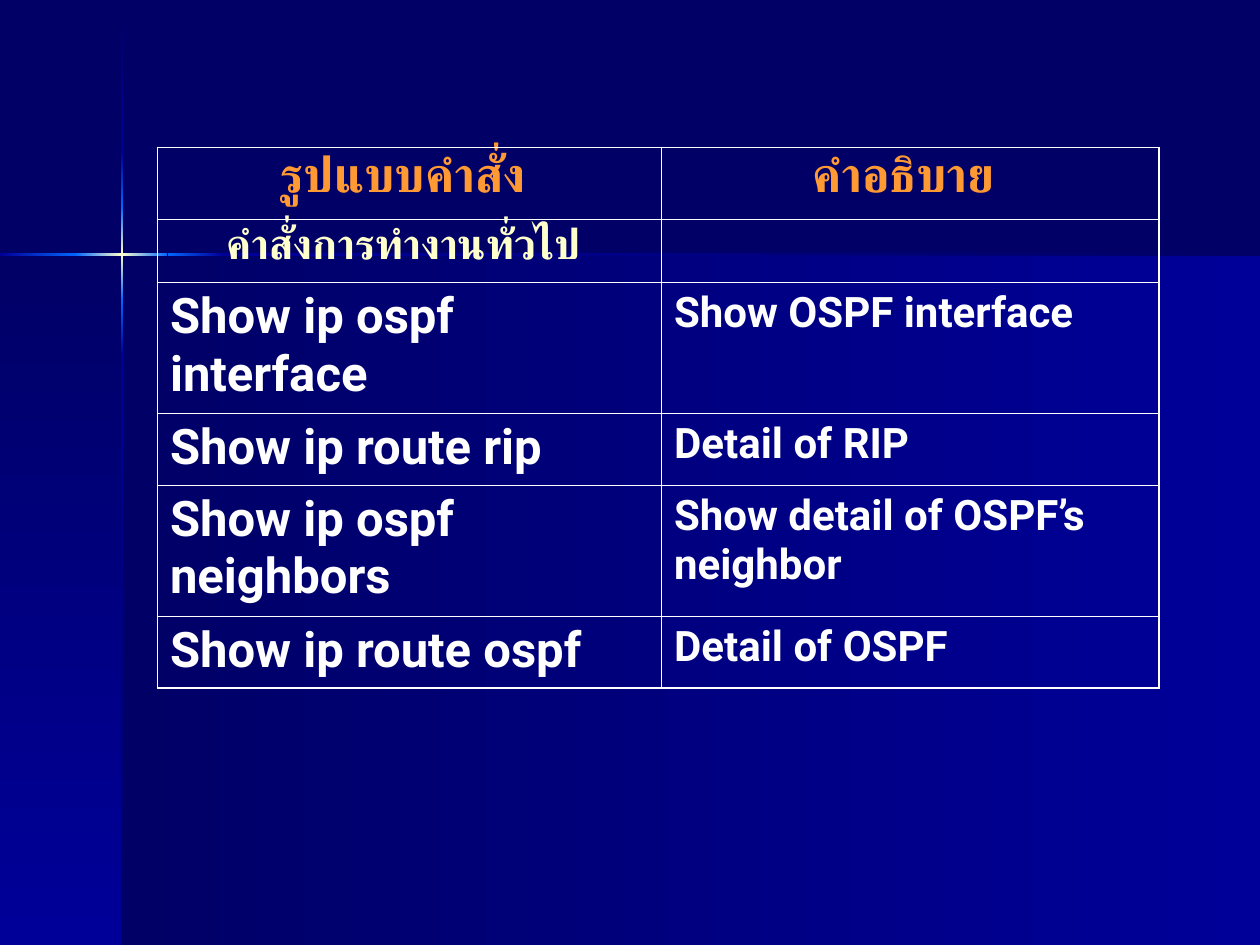
from copy import deepcopy
from lxml.etree import SubElement as Sub
from pptx import Presentation
from pptx.dml.color import RGBColor as RGB
from pptx.enum.shapes import MSO_SHAPE as Shape
from pptx.enum.text import PP_ALIGN as Align
from pptx.oxml.ns import qn
from pptx.util import Inches, Pt

NAVY = RGB(0x00, 0x00, 0x66)
BLUE = RGB(0x00, 0x00, 0x99)
GLOW = RGB(0x00, 0x66, 0xFF)
CREAM = RGB(0xFF, 0xFF, 0xCC)
ORANGE = RGB(0xFF, 0x99, 0x33)
WHITE = RGB(0xFF, 0xFF, 0xFF)
LEFT, DOWN = 180, 270


def add_band(slide, box, angle, colors):
    band = slide.shapes.add_shape(Shape.RECTANGLE, *[Inches(v) for v in box])
    band.shadow.inherit = False
    band.line.fill.background()
    band.fill.gradient()
    band.fill.gradient_angle = angle
    stops = band._element.spPr.find(".//" + qn("a:gsLst"))
    for _ in colors[2:]:
        stops.append(deepcopy(stops[0]))
    for i, (stop, color) in enumerate(zip(band.fill.gradient_stops, colors)):
        stop.position = i / (len(colors) - 1)
        stop.color.rgb = color


def add_edge(cell, side, width):
    edge = Sub(cell._tc.get_or_add_tcPr(), qn("a:" + side), w=str(Pt(width)))
    fill = Sub(edge, qn("a:solidFill"))
    Sub(fill, qn("a:srgbClr"), val=str(WHITE))


deck = Presentation()
deck.slide_width, deck.slide_height = Inches(10), Inches(7.5)
slide = deck.slides.add_slide(deck.slide_layouts[6])
slide.background.fill.solid()
slide.background.fill.fore_color.rgb = NAVY

bands = [
    ((0.97, 2.02, 9.03, 5.48), LEFT, [BLUE, NAVY]),
    ((0, 2.02, 0.97, 5.48), DOWN, [NAVY, BLUE]),
    ((0.96, 1.65, 0.02, 0.73), DOWN, [GLOW, CREAM, GLOW]),
    ((1.33, 2.01, 0.44, 0.02), LEFT, [BLUE, GLOW]),
    ((0, 2.01, 0.61, 0.02), LEFT, [GLOW, BLUE]),
    ((0.96, 0.01, 0.02, 1.21), DOWN, [NAVY, BLUE]),
    ((0.96, 2.82, 0.02, 4.68), DOWN, [BLUE, NAVY]),
    ((1.77, 2.01, 8.23, 0.02), LEFT, [NAVY, BLUE]),
    ((0.96, 2.38, 0.02, 0.44), DOWN, [GLOW, BLUE]),
    ((0.96, 1.21, 0.02, 0.44), DOWN, [BLUE, GLOW]),
    ((0.6, 2.01, 0.73, 0.02), LEFT, [GLOW, CREAM, GLOW]),
]
for box, angle, colors in bands:
    add_band(slide, box, angle, colors)

rows = [
    (0.57, "รูปแบบคำสั่ง ", "คำอธิบาย "),
    (0.5, "คำสั่งการทำงานทั่วไป ", ""),
    (1.04, "Show ip ospf interface", "Show OSPF interface"),
    (0.57, "Show ip route rip", "Detail of RIP"),
    (1.04, "Show ip ospf neighbors", "Show detail of OSPF’s neighbor"),
    (0.57, "Show ip route ospf", "Detail of OSPF"),
]
widths = [4, 3.95]
last = len(rows) - 1
high = sum(row[0] for row in rows)
table = slide.shapes.add_table(
    len(rows), 2, Inches(1.25), Inches(1.17), Inches(sum(widths)), Inches(high)
).table
table.first_row = table.horz_banding = False
for col, width in zip(table.columns, widths):
    col.width = Inches(width)

for r, (height, *texts) in enumerate(rows):
    table.rows[r].height = Inches(height)
    for c, text in enumerate(texts):
        cell = table.cell(r, c)
        outer = {"lnL": c == 0, "lnR": c == 1, "lnT": r == 0, "lnB": r == last}
        for side, thick in outer.items():
            add_edge(cell, side, 1.08 if thick else 0.45)
        cell.fill.background()
        if not text:
            continue
        large = r == 0 or (c == 0 and r > 1)
        para = cell.text_frame.paragraphs[0]
        para.alignment = Align.CENTER if r < 2 else Align.LEFT
        para.space_before = Pt(7 if large else 6)
        run = para.add_run()
        run.text = text
        run.font.name = "Roboto"
        run.font.size = Pt(28 if large else 24)
        run.font.bold = True
        run.font.color.rgb = {0: ORANGE, 1: CREAM}.get(r, WHITE)

deck.save("out.pptx")
